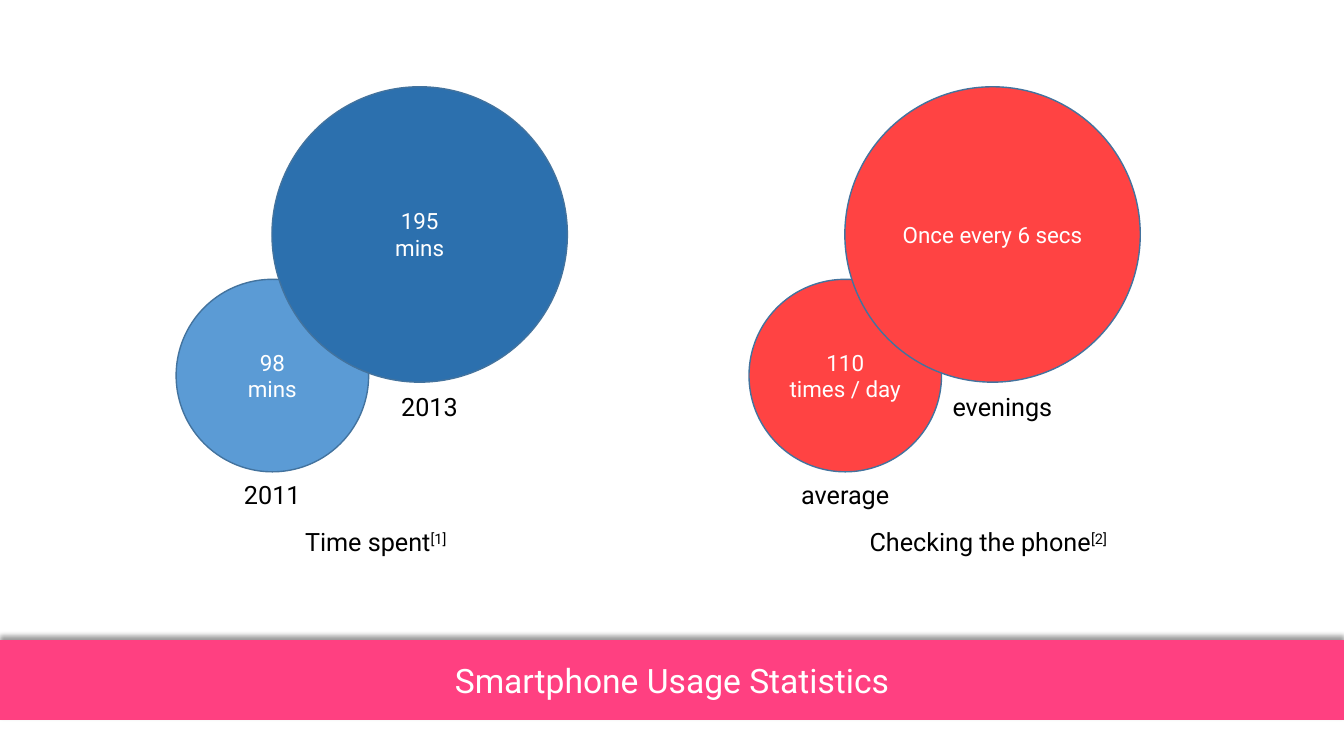
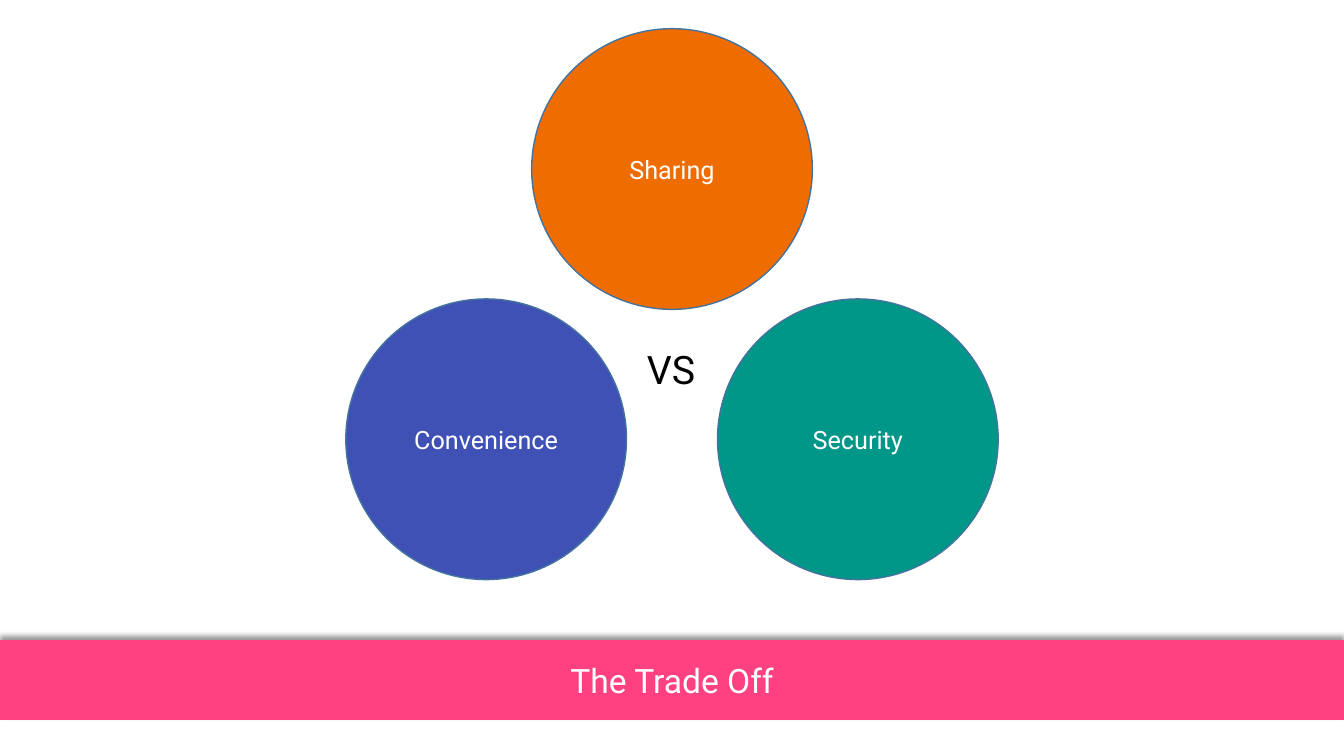
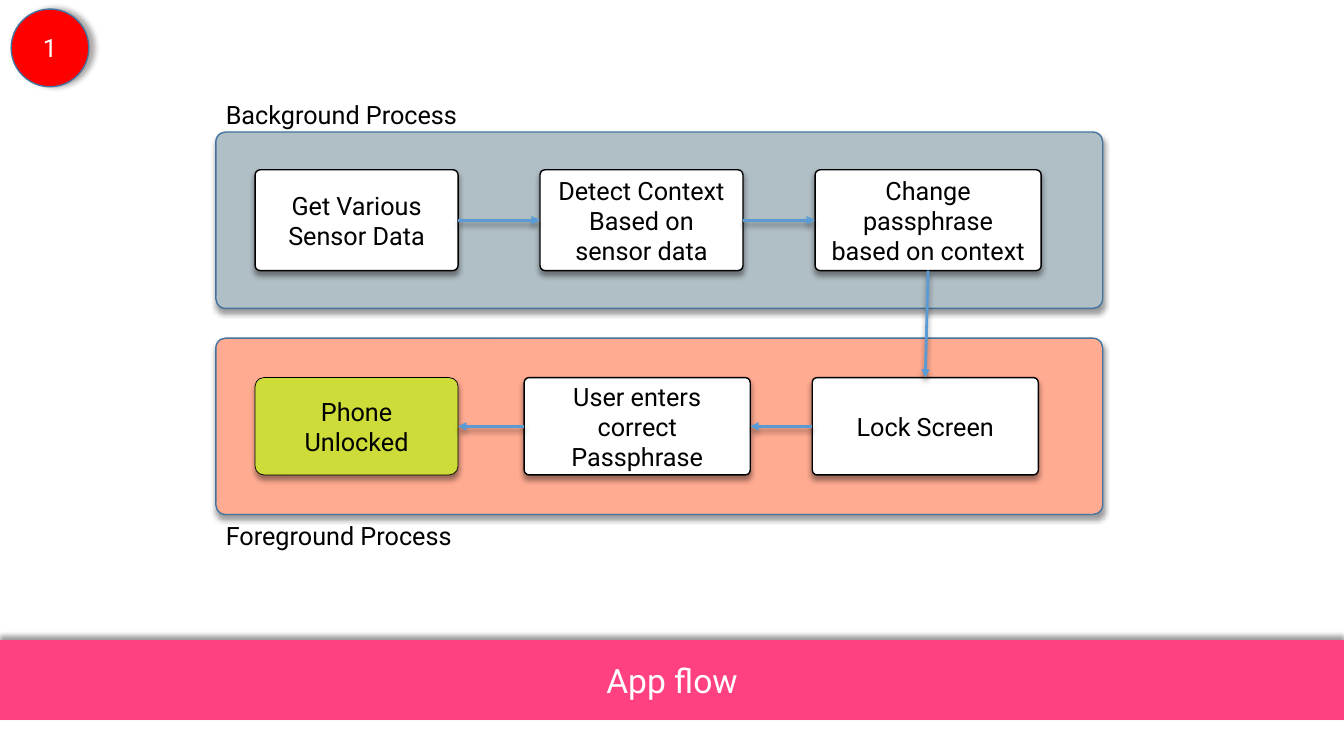
from collections import namedtuple
from dataclasses import dataclass

from pptx import Presentation
from pptx import util as u
from pptx.dml import color
from pptx.enum import shapes, text
from pptx.oxml import ns, xmlchemy

Pt = u.Pt
Box = namedtuple("Box", "left top width height")
Shadow = namedtuple("Shadow", "colour opacity blur distance angle")
TITLE_ONLY = 5
TOP, LEFT, BOTTOM, RIGHT = range(4)


@dataclass(frozen=True)
class Theme:
    font: str = "Roboto"
    title: int = 24
    label: int = 18
    value: int = 16
    versus: int = 28
    white: str = "FFFFFF"
    black: str = "000000"
    band: str = "FF4081"
    outline: str = "43739E"
    arrow: str = "5B9BD5"
    light_blue: str = "5B9BD5"
    dark_blue: str = "2C70AE"
    coral: str = "FF4343"
    indigo: str = "3F51B5"
    teal: str = "009688"
    orange: str = "EF6C00"
    badge: str = "FF0000"
    background: str = "B0BEC5"
    foreground: str = "FFAB91"
    goal: str = "CDDC39"
    drop: Shadow = Shadow("000000", 40, 4, 3, 90)
    rise: Shadow = Shadow("000000", 40, 4, 3, 270)
    side: Shadow = Shadow("AFABAB", 100, 4, 4, 359)


THEME = Theme()


def points(box):
    return [Pt(length) for length in box]


def rgb(colour):
    return color.RGBColor.from_string(colour)


def add_xml(parent, tag, **attributes):
    child = xmlchemy.OxmlElement(tag)
    for name, value in attributes.items():
        child.set(name, str(value))
    parent.append(child)
    return child


def set_shadow(shape, shadow=None):
    """Replace the inherited effects; call after fill and line are set."""
    properties = shape._element.spPr
    for effects in properties.findall(ns.qn("a:effectLst")):
        properties.remove(effects)
    effects = add_xml(properties, "a:effectLst")
    if shadow:
        outer = add_xml(effects, "a:outerShdw", blurRad=Pt(shadow.blur),
                        dist=Pt(shadow.distance), dir=shadow.angle * 60000,
                        algn="ctr", rotWithShape=0)
        tint = add_xml(outer, "a:srgbClr", val=shadow.colour)
        add_xml(tint, "a:alpha", val=shadow.opacity * 1000)


def write(frame, words, size=THEME.label, colour=THEME.black, centred=True,
          wrap=True, anchor=text.MSO_ANCHOR.MIDDLE, note=None):
    """Fill a frame, one paragraph per line; note is a raised reference."""
    frame.word_wrap = wrap
    frame.auto_size = (text.MSO_AUTO_SIZE.NONE if wrap
                       else text.MSO_AUTO_SIZE.SHAPE_TO_FIT_TEXT)
    frame.vertical_anchor = anchor
    for index, line in enumerate(words.split("\n")):
        para = frame.add_paragraph() if index else frame.paragraphs[0]
        para.alignment = text.PP_ALIGN.CENTER if centred else text.PP_ALIGN.LEFT
        for part in filter(None, (line, note)):
            span = para.add_run()
            span.text = part
            span.font.name = THEME.font
            span.font.size = Pt(size)
            span.font.color.rgb = rgb(colour)
            if part == note:
                span.font._element.set("baseline", "30000")


def add_label(page, box, words, **style):
    label = page.shapes.add_textbox(*points(box))
    write(label.text_frame, words, wrap=False, anchor=text.MSO_ANCHOR.TOP, **style)


def add_figure(page, kind, box, fill, line=THEME.outline, weight=1, shadow=None):
    figure = page.shapes.add_shape(kind, *points(box))
    figure.fill.solid()
    figure.fill.fore_color.rgb = rgb(fill)
    figure.line.color.rgb = rgb(line)
    figure.line.width = Pt(weight)
    set_shadow(figure, shadow)
    return figure


def add_circle(page, left, top, size, fill, words, text_size=THEME.label, shadow=None):
    circle = add_figure(page, shapes.MSO_SHAPE.OVAL, Box(left, top, size, size),
                        fill, shadow=shadow)
    write(circle.text_frame, words, size=text_size, colour=THEME.white)


def add_rounded(page, box, fill, corner, **style):
    rounded = add_figure(page, shapes.MSO_SHAPE.ROUNDED_RECTANGLE, box, fill,
                         shadow=THEME.drop, **style)
    rounded.adjustments[0] = corner
    return rounded


def add_arrow(page, start, start_side, end, end_side):
    arrow = page.shapes.add_connector(shapes.MSO_CONNECTOR.STRAIGHT, 0, 0, 0, 0)
    arrow.begin_connect(start, start_side)
    arrow.end_connect(end, end_side)
    arrow.line.color.rgb = rgb(THEME.arrow)
    arrow.line.width = Pt(2)
    add_xml(arrow.line._get_or_add_ln(), "a:tailEnd", type="triangle")
    set_shadow(arrow, THEME.drop)


def add_page(deck, title):
    """Add a slide whose title is the coloured band near the bottom."""
    page = deck.slides.add_slide(deck.slide_layouts[TITLE_ONLY])
    band = page.shapes.title
    band.left, band.top, band.width, band.height = points(Box(0, 457.2, 960, 57))
    band.fill.solid()
    band.fill.fore_color.rgb = rgb(THEME.band)
    set_shadow(band, THEME.rise)
    write(band.text_frame, title, size=THEME.title, colour=THEME.white)
    return page


def add_bubble_pair(page, box, small, large, caption):
    """Place two overlapping bubbles, each (fill, value, label, label width)."""
    small_size, large_size = 137.5, 211
    places = (
        (small, 0, box.height - small_size, small_size, small_size / 2, 277),
        (large, box.width - large_size, 0, large_size, 181, 214),
    )
    for bubble, left, top, size, label_centre, label_top in places:
        fill, value, label, width = bubble
        add_circle(page, box.left + left, box.top + top, size, fill, value, THEME.value)
        add_label(page, Box(box.left + label_centre - width / 2, box.top + label_top,
                            width, 29), label)
    words, note, indent, width = caption
    add_label(page, Box(box.left + indent, box.top + 310.5, width, 29), words,
              note=note, centred=False)


def add_triangle(page, box, size, top, left, right, middle):
    """Place three circles in the corners of a triangle around a middle word."""
    centre = box.left + (box.width - size) / 2
    far, low = box.left + box.width - size, box.top + box.height - size
    for x, y, (fill, words) in ((box.left, low, left), (far, low, right),
                                (centre, box.top, top)):
        add_circle(page, x, y, size, fill, words)
    width = 50
    add_label(page, Box(box.left + (box.width - width) / 2, box.top + 222.5, width, 41),
              middle, size=THEME.versus, centred=False)


def add_process(page, box, fill, name, name_top, name_width, step_height, steps,
                sides):
    """Draw a named panel of linked steps, each (left, width, words, is goal)."""
    add_rounded(page, box, fill, 0.056)
    add_label(page, Box(box.left, box.top + name_top, name_width, 29), name,
              centred=False)
    top = box.top + (box.height - step_height) / 2
    placed = []
    for left, width, words, is_goal in steps:
        look = (dict(fill=THEME.goal, corner=0.09, weight=0.5) if is_goal
                else dict(fill=THEME.white, corner=0.05))
        step = add_rounded(page, Box(box.left + left, top, width, step_height),
                           line=THEME.black, **look)
        write(step.text_frame, words)
        placed.append(step)
    for start, end in zip(placed, placed[1:]):
        add_arrow(page, start, sides[0], end, sides[1])
    return placed


def build_statistics(deck):
    page = add_page(deck, "Smartphone Usage Statistics")
    add_bubble_pair(page, Box(535, 62, 279.5, 275),
                    (THEME.coral, "110\ntimes / day", "average", 79),
                    (THEME.coral, "Once every 6 secs", "evenings", 87),
                    ("Checking the phone", "[2]", 79, 189.5))
    add_bubble_pair(page, Box(125.8, 62, 279.5, 275),
                    (THEME.light_blue, "98\nmins", "2011", 55.5),
                    (THEME.dark_blue, "195\nmins", "2013", 55.5),
                    ("Time spent", "[1]", 85, 119))


def build_trade_off(deck):
    page = add_page(deck, "The Trade Off")
    add_triangle(page, Box(247, 20.5, 466, 393.5), 200.5, (THEME.orange, "Sharing"),
                 (THEME.indigo, "Convenience"), (THEME.teal, "Security"), "VS")


def build_app_flow(deck):
    page = add_page(deck, "App flow")
    add_circle(page, 8, 6.5, 55.5, THEME.badge, "1", shadow=THEME.side)
    narrow, wide = 145, 161.5
    background = add_process(
        page, Box(154.2, 94.3, 633.5, 126), THEME.background, "Background Process",
        -26.6, 182, 72,
        [(28, narrow, "Get Various Sensor Data", False),
         (231.5, narrow, "Detect Context Based on sensor data", False),
         (428, wide, "Change passphrase based on context", False)],
        (RIGHT, LEFT))
    foreground = add_process(
        page, Box(154.2, 241.5, 633.5, 126), THEME.foreground, "Foreground Process",
        126.5, 179, 69.5,
        [(426, wide, "Lock Screen", False),
         (220.2, wide, "User enters correct Passphrase", False),
         (28, narrow, "Phone Unlocked", True)],
        (LEFT, RIGHT))
    add_arrow(page, background[-1], BOTTOM, foreground[0], TOP)


def main():
    deck = Presentation()
    deck.slide_width, deck.slide_height = Pt(960), Pt(540)
    build_statistics(deck)
    build_trade_off(deck)
    build_app_flow(deck)
    deck.save("out.pptx")


if __name__ == "__main__":
    main()
